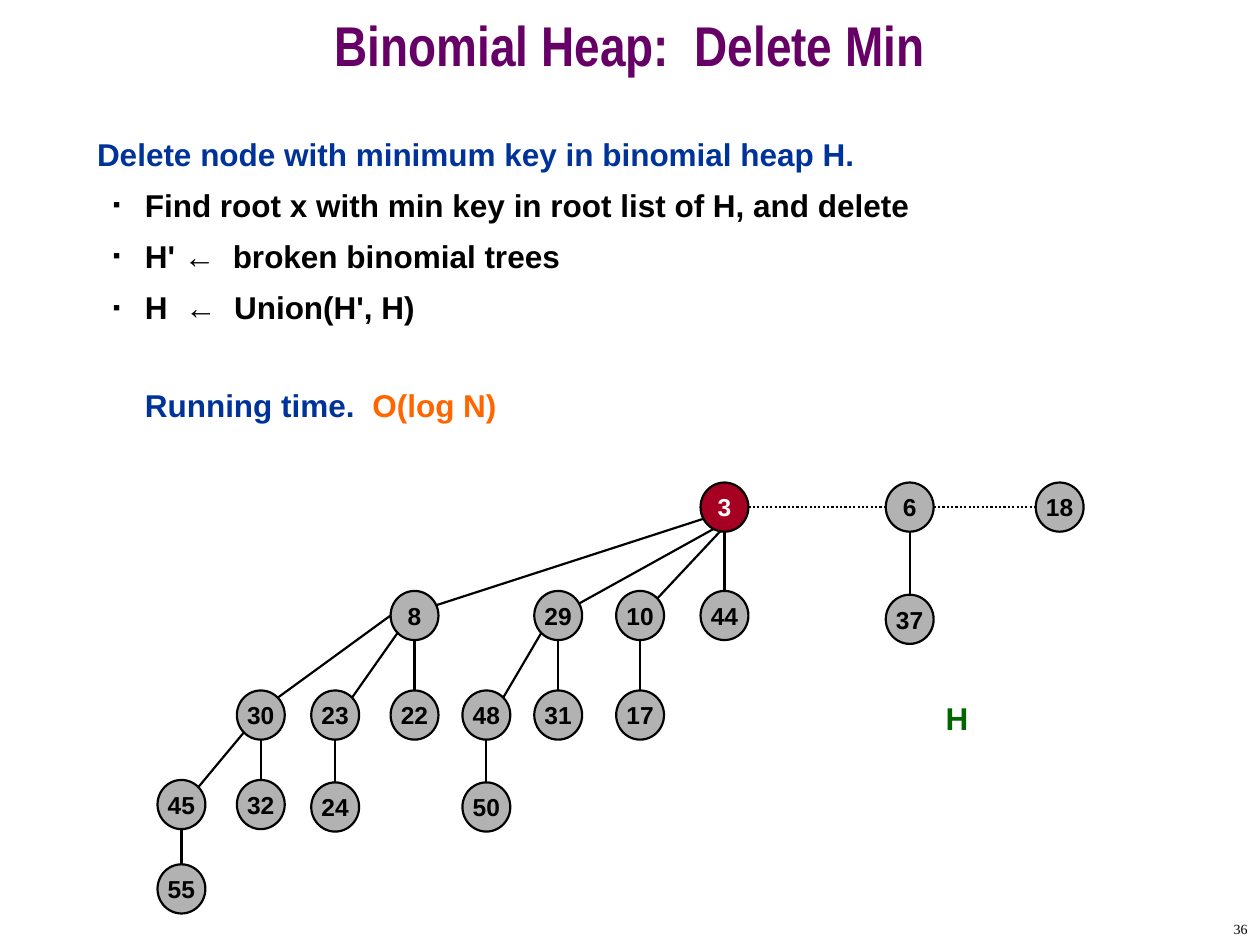
from lxml.etree import SubElement
from pptx import Presentation
from pptx.dml.color import RGBColor
from pptx.enum.dml import MSO_LINE
from pptx.enum.shapes import MSO_CONNECTOR, MSO_SHAPE
from pptx.enum.text import MSO_ANCHOR, MSO_AUTO_SIZE, PP_ALIGN
from pptx.oxml.ns import qn
from pptx.util import Inches, Pt

NODE_WIDTH, NODE_HEIGHT = 0.38, 0.39
BLACK, WHITE, BLUE, ORANGE = "000000", "FFFFFF", "003399", "FF6600"
GREEN, PURPLE, GRAY, RED = "006600", "660066", "B2B2B2", "A50021"

# key: (left, top)
NODES = {
    3: (5.56, 3.83), 6: (7.03, 3.83), 18: (8.22, 3.83),
    8: (3.1, 4.69), 29: (4.24, 4.69), 10: (4.89, 4.69), 44: (5.56, 4.69), 37: (7.03, 4.72),
    30: (1.88, 5.48), 23: (2.47, 5.48), 22: (3.1, 5.48), 48: (3.67, 5.48),
    31: (4.24, 5.48), 17: (4.89, 5.48),
    45: (1.25, 6.19), 32: (1.88, 6.19), 24: (2.47, 6.21), 50: (3.67, 6.21),
    55: (1.25, 6.86),
}
SITES = {
    "top": (0.5, 0), "bottom": (0.5, 1), "left": (0, 0.5), "right": (1, 0.5),
    "upper right": (0.85, 0.15), "lower left": (0.15, 0.85),
}
ROOT_LIST = [(3, 6), (6, 18)]
STRAIGHT_EDGES = [(3, 44), (6, 37), (8, 22), (29, 31), (10, 17), (30, 32), (23, 24), (48, 50), (45, 55)]
SLANTED_EDGES = [(8, 30, "left"), (8, 23, "lower left"), (29, 48, "lower left"), (30, 45, "lower left")]
MINIMUM_FAN = [((5.73, 4.07), (3.38, 4.83)), ((5.75, 4.15), (4.56, 4.81)), ((5.76, 4.17), (5.17, 4.8))]


def rgb(value):
    """Turn a hex string into a colour."""
    return RGBColor.from_string(value)


def style(font, size, color, name="Arial", bold=True):
    """Set size, colour, face and weight of a font."""
    font.size, font.name, font.bold = Pt(size), name, bold
    font.color.rgb = rgb(color)


def place(shape, left, top, width, height):
    """Move and size a shape, in inches."""
    shape.left, shape.top = Inches(left), Inches(top)
    shape.width, shape.height = Inches(width), Inches(height)


def site(key, name):
    """Return the point of a named site on a node's outline."""
    (left, top), (across, down) = NODES[key], SITES[name]
    return left + across * NODE_WIDTH, top + down * NODE_HEIGHT


def add_edge(slide, start, end, dotted=False):
    """Draw a straight edge between two points."""
    edge = slide.shapes.add_connector(MSO_CONNECTOR.STRAIGHT, *map(Inches, (*start, *end)))
    edge.line.width = Pt(1.25)
    edge.line.color.rgb = rgb(BLACK)
    if dotted:
        edge.line.dash_style = MSO_LINE.ROUND_DOT
    SubElement(edge._element.spPr, qn("a:effectLst"))


def add_node(slide, key, fill, color):
    """Draw one heap node with its key."""
    left, top = NODES[key]
    node = slide.shapes.add_shape(
        MSO_SHAPE.OVAL, *map(Inches, (left, top, NODE_WIDTH, NODE_HEIGHT)))
    node.shadow.inherit = False
    node.fill.solid()
    node.fill.fore_color.rgb = rgb(fill)
    node.line.color.rgb = rgb(BLACK)
    node.line.width = Pt(1.25)
    frame = node.text_frame
    frame.word_wrap = False
    frame.vertical_anchor = MSO_ANCHOR.MIDDLE
    frame.text = str(key)
    frame.paragraphs[0].alignment = PP_ALIGN.CENTER
    style(frame.paragraphs[0].font, 14, color)


def add_label(slide, text, box, align, anchor, size, color, **face):
    """Add a one-line text box."""
    frame = slide.shapes.add_textbox(*map(Inches, box)).text_frame
    frame.word_wrap = True
    frame.vertical_anchor = anchor
    frame.text = text
    frame.paragraphs[0].alignment = align
    style(frame.paragraphs[0].font, size, color, **face)


def indent(paragraph, margin, first, bullet=None):
    """Set the indents of a paragraph and its bullet or lack of one."""
    properties = paragraph._p.get_or_add_pPr()
    properties.set("marL", str(Inches(margin)))
    properties.set("indent", str(Inches(first)))
    if bullet:
        color = SubElement(properties, qn("a:buClr"))
        SubElement(color, qn("a:srgbClr"), val=BLACK)
        SubElement(properties, qn("a:buSzPct"), val="35000")
        SubElement(properties, qn("a:buChar"), char=bullet)
    else:
        SubElement(properties, qn("a:buNone"))


def fill_title(title):
    """Write the slide title."""
    place(title, 0, 0, 10, 0.83)
    frame = title.text_frame
    frame.vertical_anchor = MSO_ANCHOR.MIDDLE
    frame.auto_size = MSO_AUTO_SIZE.NONE
    frame.text = "Binomial Heap:  Delete Min"
    heading = frame.paragraphs[0]
    heading.alignment = PP_ALIGN.CENTER
    heading.line_spacing = 0.7
    style(heading.font, 32, PURPLE, name="Arial Narrow")


def fill_steps(body):
    """Write the goal, the steps and the running time."""
    place(body, 0.67, 1.02, 8.58, 5.9)
    frame = body.text_frame
    frame.auto_size = MSO_AUTO_SIZE.NONE
    goal = frame.paragraphs[0]
    goal.text = "Delete node with minimum key in binomial heap H."
    indent(goal, 0, 0)
    goal.space_before = Pt(0)
    style(goal.font, 18, BLUE)
    for text in ("Find root x with min key in root list of H, and delete",
                 "H' ←  broken binomial trees",
                 "H  ←  Union(H', H)"):
        step = frame.add_paragraph()
        step.text = text
        step.level = 1
        indent(step, 0.38, -0.25, "■")
        step.line_spacing = 1.1
        step.space_before = Pt(5.5)
        style(step.font, 18, BLACK)
    running_time = frame.add_paragraph()
    indent(running_time, 0.38, 0)
    running_time.space_before = Pt(34)
    for text, color in (("Running time.  ", BLUE), ("O(log N)", ORANGE)):
        part = running_time.add_run()
        part.text = text
        style(part.font, 18, color)


def draw_heap(slide):
    """Draw the edges of the heap, then its nodes."""
    for left, right in ROOT_LIST:
        add_edge(slide, site(left, "right"), site(right, "left"), dotted=True)
    for parent, child in STRAIGHT_EDGES:
        add_edge(slide, site(parent, "bottom"), site(child, "top"))
    for parent, child, leaving in SLANTED_EDGES:
        add_edge(slide, site(parent, leaving), site(child, "upper right"))
    for start, end in MINIMUM_FAN:
        add_edge(slide, start, end)
    minimum = min(NODES)
    for key in NODES:
        add_node(slide, key, *((RED, WHITE) if key == minimum else (GRAY, BLACK)))


def main():
    """Build the slide and save it."""
    deck = Presentation()
    deck.slide_width, deck.slide_height = Inches(10), Inches(7.5)
    slide = deck.slides.add_slide(deck.slide_layouts[1])
    fill_title(slide.shapes.title)
    fill_steps(slide.placeholders[1])
    draw_heap(slide)
    add_label(slide, "H", (7.25, 5.5, 0.69, 0.4), PP_ALIGN.CENTER, MSO_ANCHOR.TOP, 18, GREEN)
    add_label(slide, "36", (7.92, 7.25, 2.08, 0.25), PP_ALIGN.RIGHT, MSO_ANCHOR.MIDDLE, 8, BLACK,
              name="Times New Roman", bold=False)
    deck.save("out.pptx")


if __name__ == "__main__":
    main()
